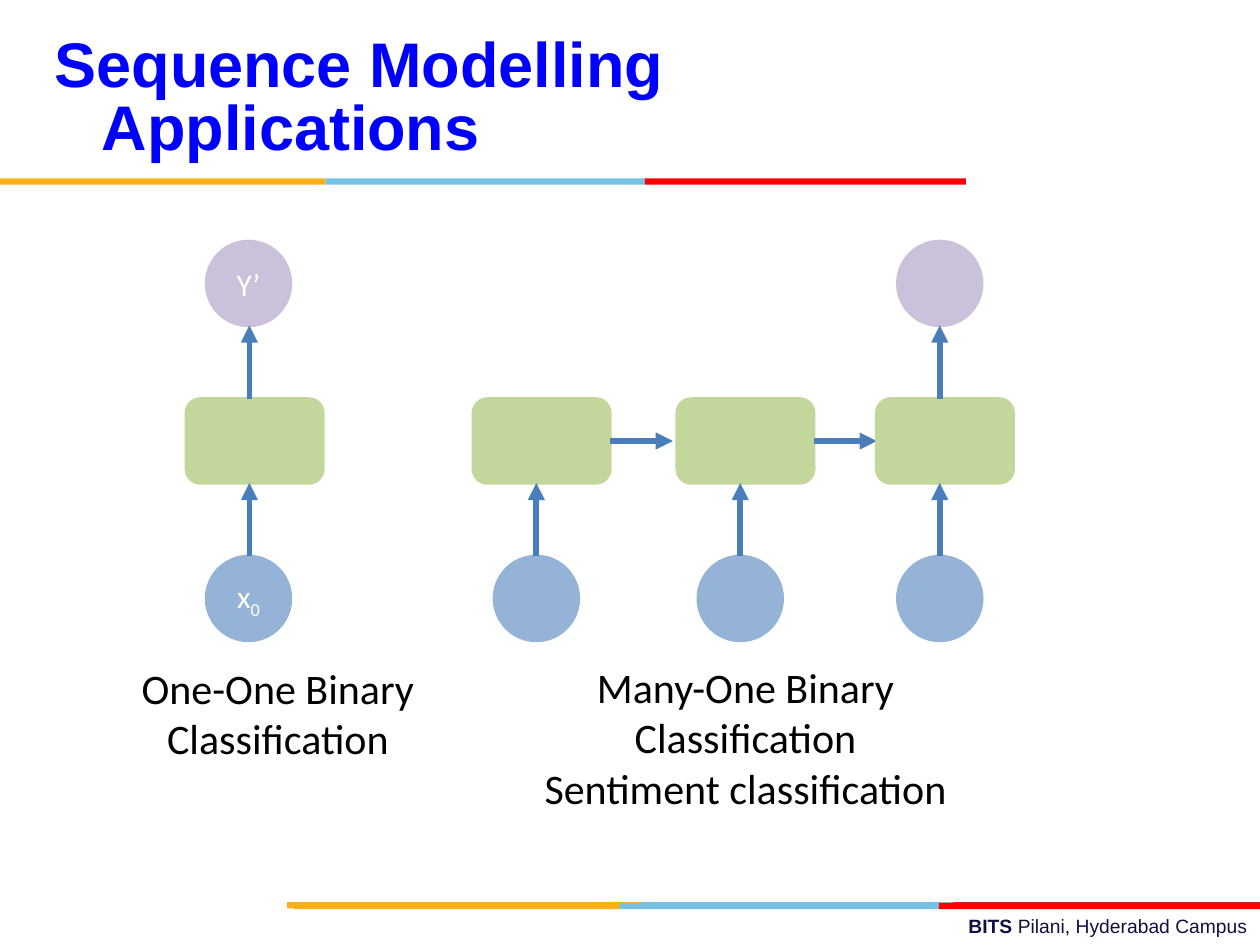
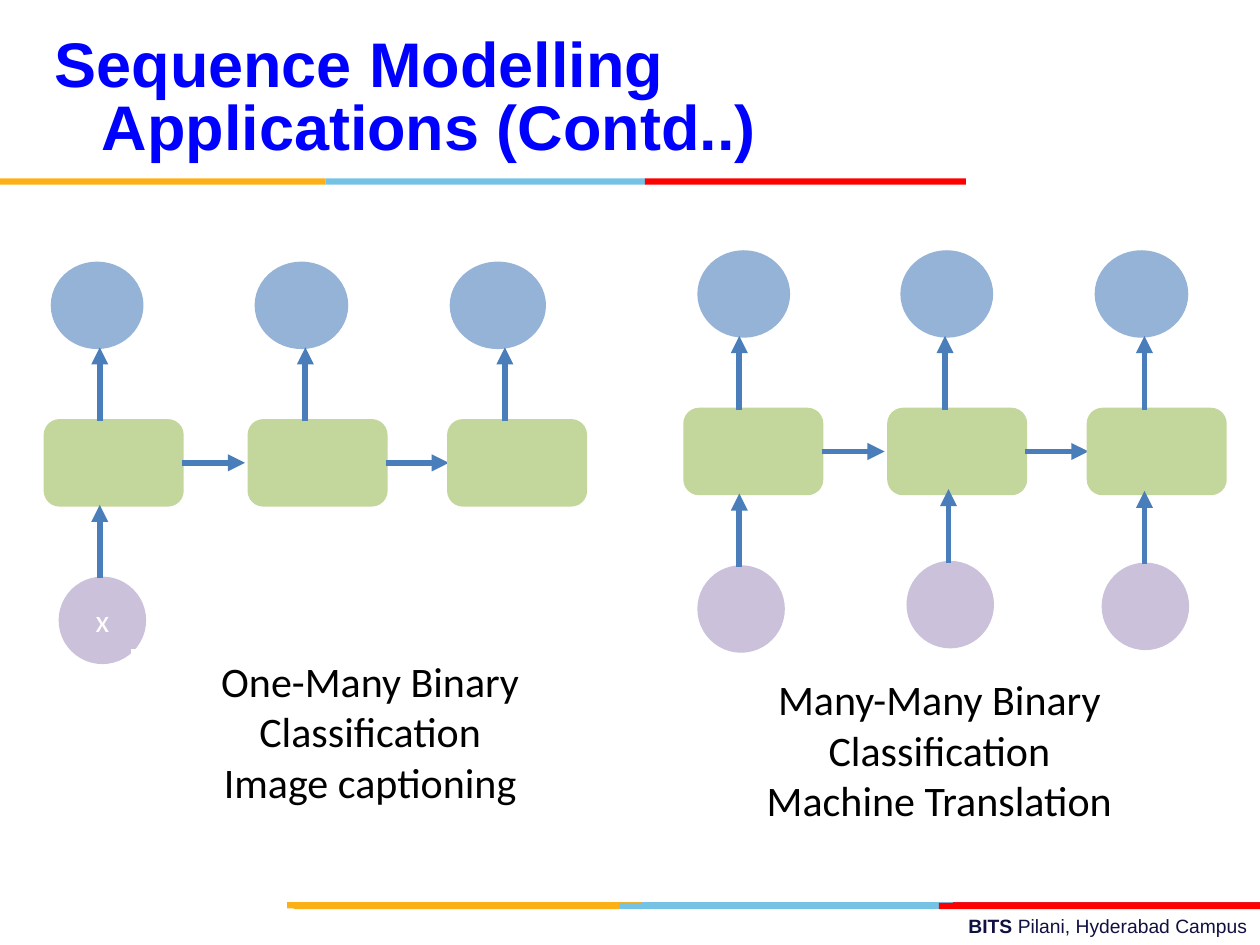
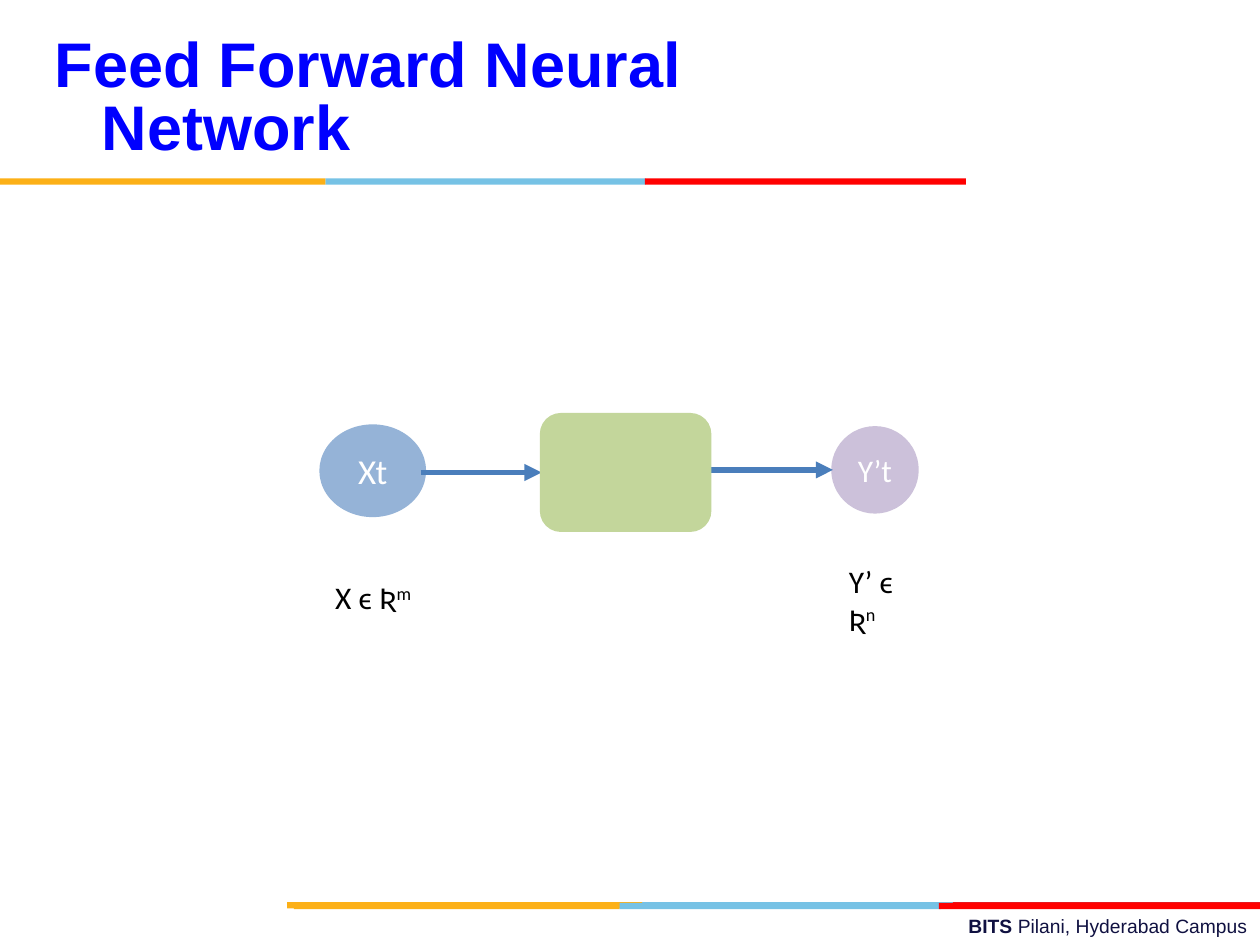
from lxml.etree import SubElement
from pptx import Presentation
from pptx.dml.color import RGBColor
from pptx.enum.shapes import MSO_CONNECTOR, MSO_SHAPE as SHAPE
from pptx.enum.text import MSO_ANCHOR as ANCHOR, MSO_AUTO_SIZE, PP_ALIGN as ALIGN
from pptx.oxml.ns import qn
from pptx.util import Pt

rgb = RGBColor.from_string

YELLOW, SKY, RED, DARK_RED = "FCB017", "76C2E5", "FF0000", "E31C24"
TITLE_BLUE, NAVY = "0000FF", "101141"
GREEN, BLUE, PURPLE, ARROW = "C3D69B", "95B3D7", "CCC1DA", "4A7EBB"
WHITE, BLACK = "FFFFFF", "000000"

CELL_W, CELL_H, CIRCLE = 78, 48, 48
STEM, LINK = 42, 36


def add_node(s, kind, box, fill, paras=(), size=18, ink=WHITE, anchor=ANCHOR.MIDDLE, line=2):
    """Add a filled shape; paras holds paragraphs of (text, baseline) runs."""
    sp = s.shapes.add_shape(kind, *map(Pt, box))
    sp.shadow.inherit = False
    sp.fill.solid()
    sp.fill.fore_color.rgb = rgb(fill)
    if line:
        sp.line.color.rgb = rgb(fill)
        sp.line.width = Pt(line)
    else:
        sp.line.fill.background()
    tf = sp.text_frame
    tf.word_wrap = True
    tf.vertical_anchor = anchor
    for i, runs in enumerate(paras):
        p = tf.add_paragraph() if i else tf.paragraphs[0]
        p.alignment = ALIGN.CENTER
        for text, baseline in runs:
            r = p.add_run()
            r.text = text
            r.font.name, r.font.size = "Calibri", Pt(size)
            r.font.color.rgb = rgb(ink)
            if baseline:
                r.font._element.set("baseline", str(baseline))
    return sp


def add_arrow(s, x1, y1, x2, y2):
    c = s.shapes.add_connector(MSO_CONNECTOR.STRAIGHT, Pt(x1), Pt(y1), Pt(x2), Pt(y2))
    c.line.color.rgb = rgb(ARROW)
    c.line.width = Pt(3.25)
    SubElement(c.line._get_or_add_ln(), qn("a:tailEnd"), type="triangle")
    SubElement(c._element.spPr, qn("a:effectLst"))


prs = Presentation()
prs.slide_width, prs.slide_height = Pt(720), Pt(540)

# Shared layout: title place, colour bands and footer
layout = prs.slide_layouts[5]
for ph in list(layout.placeholders):
    if ph.placeholder_format.idx:
        ph.element.getparent().remove(ph.element)
    else:
        ph.left, ph.top, ph.width, ph.height = Pt(24), Pt(12), Pt(498), Pt(90)

titles = [
    "Sequence Modelling Applications",
    "Sequence Modelling Applications (Contd..)",
    "Feed Forward Neural Network",
]
slides = [prs.slides.add_slide(layout) for _ in titles]

bands = [
    (364.5, 515.5, 183.5, SKY), (544.5, 515.5, 175.5, DARK_RED), (164, 515.5, 203, YELLOW),
    (354, 516, 183.5, SKY), (168, 516, 186, YELLOW), (536.5, 516, 183.5, RED),
    (186, 102, 183, SKY), (0, 102, 186, YELLOW), (368.5, 102, 183.5, RED),
]
shared = [add_node(slides[0], SHAPE.RECTANGLE, (left, top, width, 3.6), color, line=0)
          for left, top, width, color in bands]

footer = slides[0].shapes.add_textbox(Pt(258), Pt(519), Pt(462), Pt(21))
footer.text_frame.word_wrap = True
p = footer.text_frame.paragraphs[0]
p.alignment = ALIGN.RIGHT
for text, bold in [("BITS ", True), ("Pilani, Hyderabad Campus", False)]:
    r = p.add_run()
    r.text = text
    r.font.name, r.font.size, r.font.bold = "Arial", Pt(11), bold
    r.font.color.rgb = rgb(NAVY)
for sp in shared + [footer]:
    layout.shapes.element.append(sp.element)

for s, title in zip(slides, titles):
    tf = s.shapes.title.text_frame
    tf.auto_size = MSO_AUTO_SIZE.NONE
    tf.word_wrap = True
    tf.vertical_anchor = ANCHOR.MIDDLE
    p = tf.paragraphs[0]
    p.alignment = ALIGN.LEFT
    p.line_spacing = Pt(36)
    pPr = p._p.get_or_add_pPr()
    pPr.set("marL", str(Pt(27)))
    pPr.set("indent", str(Pt(-27)))
    r = p.add_run()
    r.text = title
    r.font.name, r.font.size, r.font.bold = "Arial", Pt(36), True
    r.font.color.rgb = rgb(TITLE_BLUE)

# Chains: slide, cell top, (top fill, label), (bottom fill, label), cells, caption box, caption.
# Cell: left, top circle (left, width, stem x), bottom circle (left, top, stem x).
chains = [
    (slides[0], 228, (PURPLE, [[("Y’", 0)]]), (BLUE, [[("x", 0), ("0", -25000)]]),
     [(106.5, (118, 48, 142.5), (118, 318, 142.5))],
     (70.5, 375, 176.5, 65), ["One-One Binary Classification"]),
    (slides[0], 228, (PURPLE, []), (BLUE, []),
     [(270.5, None, (282.5, 318, 306.5)),
      (387, None, (399, 318, 423)),
      (501, (513, 48, 537), (513, 318, 537))],
     (284.5, 374.5, 283, 93.5), ["Many-One Binary Classification", "Sentiment classification"]),
    (slides[1], 240.5, (BLUE, []), (PURPLE, [[("x", 0)]]),
     [(26, (30, 51, 57), (34.5, 330.5, 57)),
      (142.5, (146.5, 51.5, 174.5), None),
      (256.5, (258, 53, 288.5), None)],
     (75, 371, 273, 93.5), ["One-Many Binary Classification", "Image captioning"]),
    (slides[1], 234, (BLUE, []), (PURPLE, []),
     [(391.5, (399.5, 51, 422.5), (399.5, 324, 422.5)),
      (508, (515.5, 51, 540), (519, 321.5, 542)),
      (622, (626.5, 51.5, 654), (630.5, 322.5, 654))],
     (430.5, 381.5, 212.5, 122.5), ["Many-Many Binary Classification", "Machine Translation"]),
]
for s, y, (top_fill, top_label), (low_fill, low_label), cells, caption_box, caption in chains:
    for i, (x, top, low) in enumerate(cells):
        add_node(s, SHAPE.ROUNDED_RECTANGLE, (x, y, CELL_W, CELL_H), GREEN)
        if top:
            left, width, stem_x = top
            add_node(s, SHAPE.OVAL, (left, y - STEM - CIRCLE, width, CIRCLE), top_fill, top_label)
            add_arrow(s, stem_x, y, stem_x, y - STEM)
        if low:
            left, low_y, stem_x = low
            add_node(s, SHAPE.OVAL, (left, low_y, CIRCLE, CIRCLE), low_fill, low_label)
            add_arrow(s, stem_x, low_y, stem_x, low_y - STEM)
        if i < len(cells) - 1:
            add_arrow(s, x + CELL_W, y + CELL_H / 2, x + CELL_W + LINK, y + CELL_H / 2)
    add_node(s, SHAPE.RECTANGLE, caption_box, WHITE, [[(text, 0)] for text in caption],
             24, BLACK, ANCHOR.TOP, 0.75)

# Feed forward network
s = slides[2]
add_node(s, SHAPE.OVAL, (183.5, 243.5, 59, 51), BLUE, [[("Xt", 0)]], 20)
add_node(s, SHAPE.OVAL, (476, 244.5, 48, 48), PURPLE, [[("Y’t", 0)]])
add_arrow(s, 240.5, 270, 309.5, 270)
add_arrow(s, 405, 268.5, 476, 268.5)
add_node(s, SHAPE.ROUNDED_RECTANGLE, (309.5, 237, 96, 66), GREEN)

for left, top, text, power, wrap in [
    (184.5, 327, "X ϵ Ʀ", "m", False),
    (478, 317.5, "Y’ ϵ Ʀ", "n", True),
]:
    tf = s.shapes.add_textbox(Pt(left), Pt(top), Pt(58), Pt(29)).text_frame
    tf.word_wrap = wrap
    for part, baseline in [(text, 0), (power, 30000)]:
        r = tf.paragraphs[0].add_run()
        r.text = part
        r.font.name, r.font.size = "Calibri", Pt(18)
        r.font.color.rgb = rgb(BLACK)
        if baseline:
            r.font._element.set("baseline", str(baseline))

prs.save("out.pptx")
